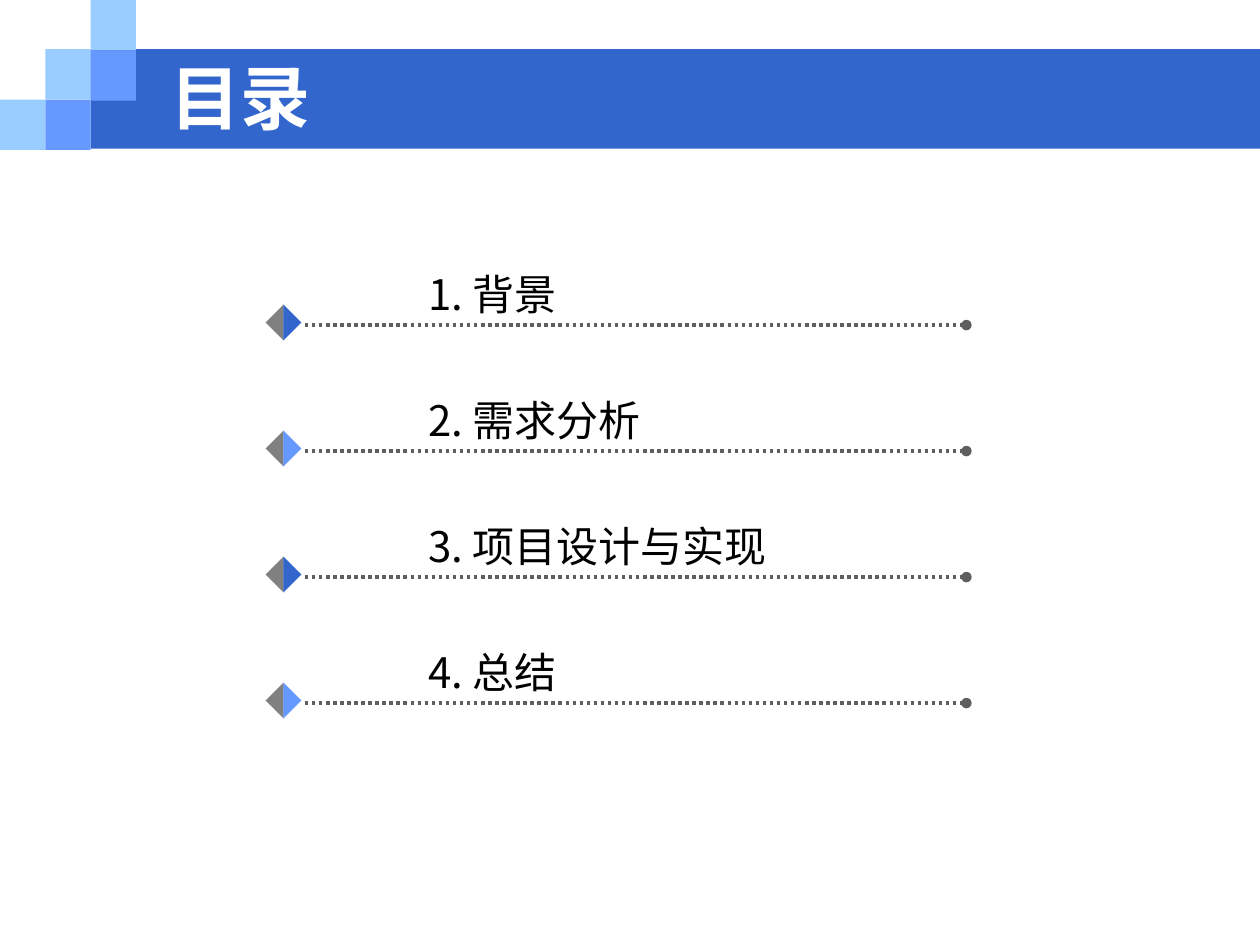
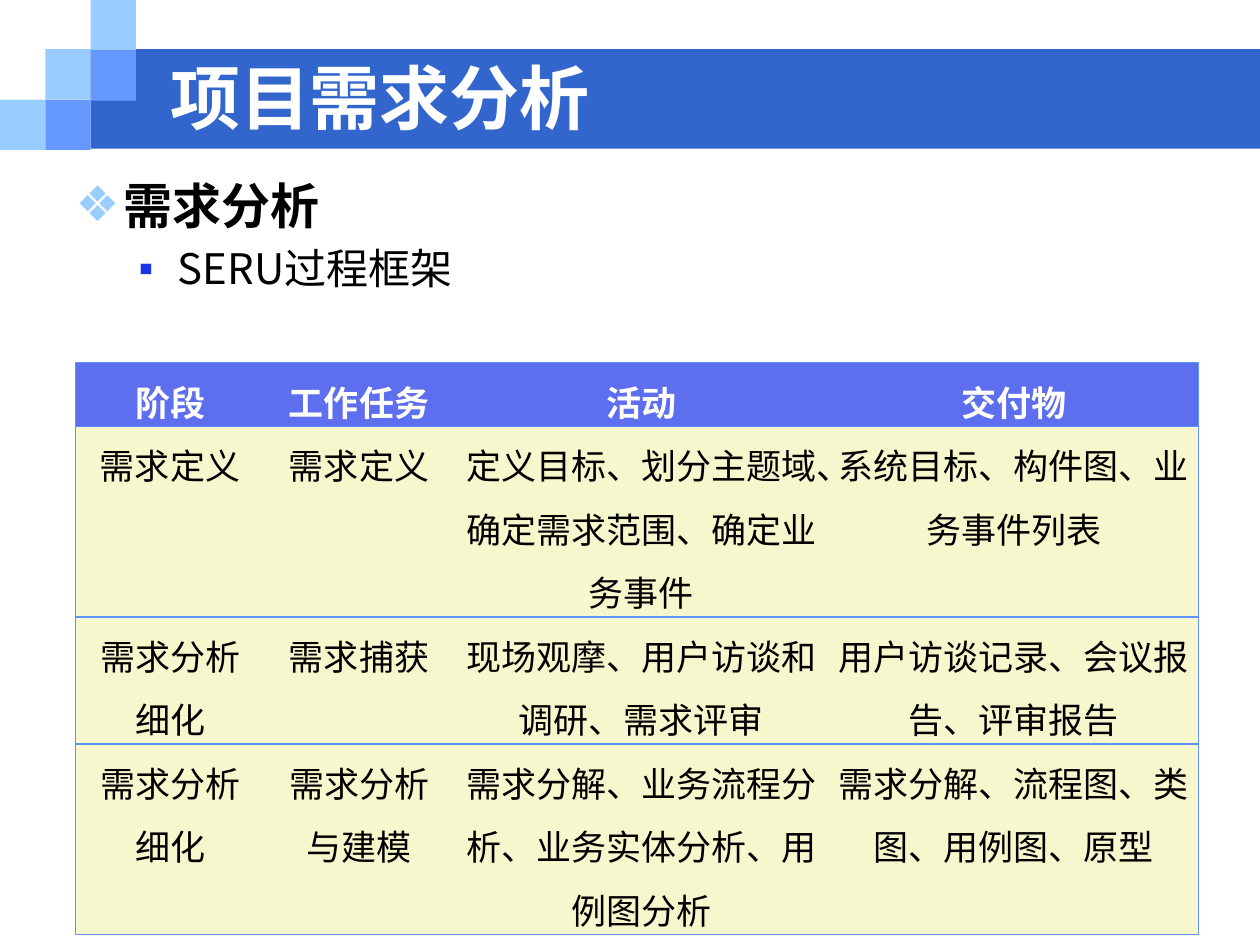
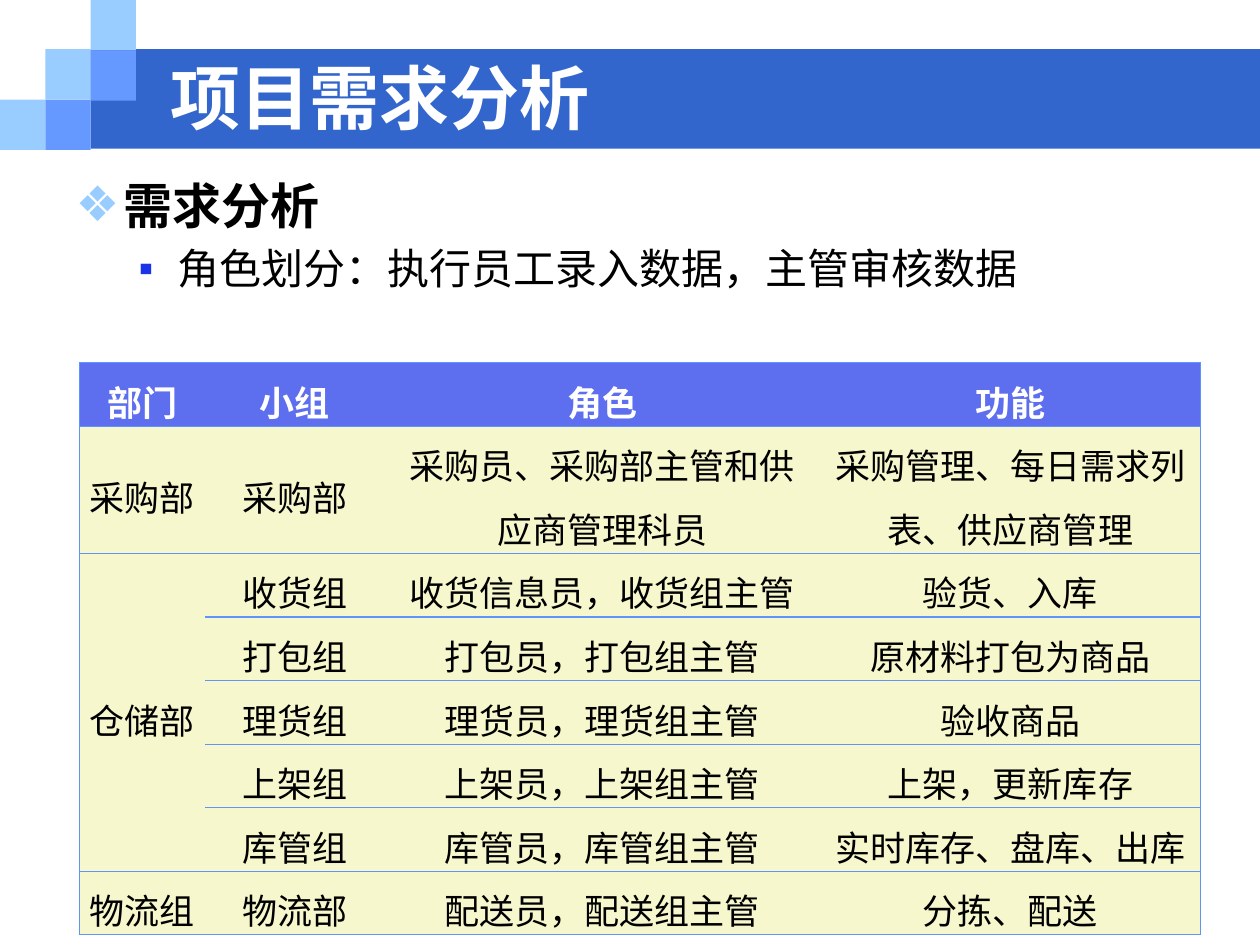
from typing import NamedTuple

from lxml import etree
from pptx import Presentation
from pptx.dml.color import RGBColor
from pptx.enum.dml import MSO_LINE
from pptx.enum.shapes import MSO_CONNECTOR, MSO_SHAPE
from pptx.enum.text import MSO_ANCHOR, MSO_AUTO_SIZE, PP_ALIGN
from pptx.oxml.ns import qn
from pptx.util import Pt

RECTANGLE = MSO_SHAPE.RECTANGLE
TRIANGLE = MSO_SHAPE.RIGHT_TRIANGLE
STRAIGHT = MSO_CONNECTOR.STRAIGHT
DOTTED = MSO_LINE.ROUND_DOT
TOP, MIDDLE = MSO_ANCHOR.TOP, MSO_ANCHOR.MIDDLE
LEFT, CENTER = PP_ALIGN.LEFT, PP_ALIGN.CENTER
FIXED_SIZE, GROW = MSO_AUTO_SIZE.NONE, MSO_AUTO_SIZE.SHAPE_TO_FIT_TEXT

EMU_PER_PX = 9144
TITLE_FONT = "Noto Sans CJK JP"
TEXT_FONT = "Noto Sans CJK SC"
BLUE, MID_BLUE, PALE_BLUE = "3366CC", "6699FF", "99CCFF"
BULLET_BLUE, HEADER_BLUE, BORDER_BLUE = "1B33E7", "5D6EEE", "6094FD"
GREY, LINE_GREY = "808080", "5F5F5F"
CREAM, WHITE, BLACK = "F7F7CD", "FFFFFF", "000000"


class Area(NamedTuple):
    left: int
    top: int
    width: int
    height: int


class Block(NamedTuple):
    area: Area
    color: str


class TextStyle(NamedTuple):
    size: int
    color: str = BLACK
    bold: bool = False
    font: str = TEXT_FONT


class ListLevel(NamedTuple):
    style: TextStyle
    margin: int
    hanging: int
    bullet: str
    bullet_color: str


class Grid(NamedTuple):
    left: int
    widths: list[int]
    anchor: MSO_ANCHOR
    rows: list[list[str]]
    merge: tuple[int, int] | None = None


TITLE_AREA = Area(125, 50, 808, 53)
BODY_AREA = Area(50, 134, 900, 574)
TABLE_TOP = 288
ROW_HEIGHT = 50
BANNER = [
    Block(Area(72, 39, 928, 79), BLUE),
    Block(Area(0, 79, 36, 40), PALE_BLUE),
    Block(Area(36, 39, 36, 40), PALE_BLUE),
    Block(Area(72, 0, 36, 40), PALE_BLUE),
    Block(Area(72, 40, 36, 40), MID_BLUE),
    Block(Area(36, 79, 36, 40), MID_BLUE),
]
TITLE_STYLE = TextStyle(40, WHITE, True, TITLE_FONT)
AGENDA_STYLE = TextStyle(24)
HEADER_STYLE = TextStyle(20, WHITE, True)
CELL_STYLE = TextStyle(20)
LIST_LEVELS = [
    ListLevel(TextStyle(28, bold=True), 38, 38, "❖", PALE_BLUE),
    ListLevel(TextStyle(24), 81, 31, "▪", BULLET_BLUE),
]

AGENDA = ["背景", "需求分析", "项目设计与实现", "总结"]
AGENDA_WIDTHS = [138, 205, 306, 138]
AGENDA_TOP, AGENDA_PITCH = 258, 100

PROCESS = Grid(60, [150, 150, 298, 293], TOP, [
    ["阶段", "工作任务", "活动", "交付物"],
    ["需求定义", "需求定义", "定义目标、划分主题域、确定需求范围、确定业务事件",
     "系统目标、构件图、业务事件列表"],
    ["需求分析细化", "需求捕获", "现场观摩、用户访谈和调研、需求评审",
     "用户访谈记录、会议报告、评审报告"],
    ["需求分析细化", "需求分析与建模", "需求分解、业务流程分析、业务实体分析、用例图分析",
     "需求分解、流程图、类图、用例图、原型"],
])
ROLES = Grid(63, [100, 142, 346, 302], MIDDLE, [
    ["部门", "小组", "角色", "功能"],
    ["采购部", "采购部", "采购员、采购部主管和供应商管理科员", "采购管理、每日需求列表、供应商管理"],
    ["仓储部", "收货组", "收货信息员，收货组主管", "验货、入库"],
    ["", "打包组", "打包员，打包组主管", "原材料打包为商品"],
    ["", "理货组", "理货员，理货组主管", "验收商品"],
    ["", "上架组", "上架员，上架组主管", "上架，更新库存"],
    ["", "库管组", "库管员，库管组主管", "实时库存、盘库、出库"],
    ["物流组", "物流部", "配送员，配送组主管", "分拣、配送"],
], merge=(2, 6))


def px(length: int) -> int:
    return length * EMU_PER_PX


def rgb(color: str) -> RGBColor:
    return RGBColor.from_string(color)


def emu_area(area: Area) -> list[int]:
    return [px(length) for length in area]


def place(shape, area: Area) -> None:
    shape.left, shape.top, shape.width, shape.height = emu_area(area)


def add_span(para, text: str, style: TextStyle) -> None:
    span = para.add_run()
    span.text = text
    span.font.size = Pt(style.size)
    span.font.bold = style.bold
    span.font.color.rgb = rgb(style.color)
    span.font.name = style.font
    properties = span.font._element
    etree.SubElement(properties, qn("a:ea")).set("typeface", style.font)


def add_block(shapes, kind: MSO_SHAPE, block: Block):
    shape = shapes.add_shape(kind, *emu_area(block.area))
    shape.shadow.inherit = False
    shape.fill.solid()
    shape.fill.fore_color.rgb = rgb(block.color)
    shape.line.fill.background()
    return shape


def move_banner_to_master(deck, page) -> None:
    tree = deck.slide_master.shapes.element
    for index, block in enumerate(BANNER):
        element = add_block(page.shapes, RECTANGLE, block).element
        element.nvSpPr.cNvPr.set("id", str(100 + index))
        tree.insert(2 + index, element)


def set_title(page, text: str) -> None:
    title = page.shapes.title
    place(title, TITLE_AREA)
    title.text_frame.auto_size = FIXED_SIZE
    title.text_frame.vertical_anchor = MIDDLE
    para = title.text_frame.paragraphs[0]
    para.alignment = LEFT
    add_span(para, text, TITLE_STYLE)


def set_list(page, texts: list[str]) -> None:
    body = page.placeholders[1]
    place(body, BODY_AREA)
    frame = body.text_frame
    frame.auto_size = FIXED_SIZE
    for depth, (text, level) in enumerate(zip(texts, LIST_LEVELS)):
        para = frame.add_paragraph() if depth else frame.paragraphs[0]
        para.level = depth
        properties = para._p.get_or_add_pPr()
        properties.set("marL", str(px(level.margin)))
        properties.set("indent", str(px(-level.hanging)))
        bullet_color = etree.SubElement(properties, qn("a:buClr"))
        etree.SubElement(bullet_color, qn("a:srgbClr")).set("val", level.bullet_color)
        etree.SubElement(properties, qn("a:buChar")).set("char", level.bullet)
        add_span(para, text, level.style)


def add_agenda_item(page, index: int, text: str) -> None:
    top = AGENDA_TOP + index * AGENDA_PITCH
    shapes = page.shapes.add_group_shape().shapes

    rule = shapes.add_connector(STRAIGHT, px(242), px(top), px(767), px(top))
    rule.line.width = Pt(2)
    rule.line.color.rgb = rgb(LINE_GREY)
    rule.line.dash_style = DOTTED
    etree.SubElement(rule.line._get_or_add_ln(), qn("a:tailEnd")).set("type", "oval")
    etree.SubElement(rule.element.spPr, qn("a:effectLst"))

    marker = Area(215, top - 12, 20, 20)
    left_half = add_block(shapes, TRIANGLE, Block(marker, GREY))
    left_half.rotation = 45
    right_color = MID_BLUE if index % 2 else BLUE
    right_half = add_block(shapes, TRIANGLE, Block(marker, right_color))
    right_half.rotation = 315
    right_half.element.spPr.xfrm.set("flipH", "1")

    label = Area(330, top - 50, AGENDA_WIDTHS[index], 51)
    box = shapes.add_textbox(*emu_area(label))
    box.text_frame.word_wrap = False
    box.text_frame.auto_size = GROW
    add_span(box.text_frame.paragraphs[0], f"{index + 1}. {text}", AGENDA_STYLE)


def set_borders(cell, first: bool, last: bool) -> None:
    properties = cell._tc.get_or_add_tcPr()
    sides = {"L": first, "R": last, "T": True, "B": True}
    for index, (side, visible) in enumerate(sides.items()):
        line = etree.Element(qn(f"a:ln{side}"), w=str(Pt(0.75)))
        if visible:
            fill = etree.SubElement(line, qn("a:solidFill"))
            etree.SubElement(fill, qn("a:srgbClr")).set("val", BORDER_BLUE)
        else:
            etree.SubElement(line, qn("a:noFill"))
        properties.insert(index, line)


def add_grid(page, grid: Grid) -> None:
    row_count, column_count = len(grid.rows), len(grid.widths)
    area = Area(grid.left, TABLE_TOP, sum(grid.widths), row_count * ROW_HEIGHT)
    table = page.shapes.add_table(row_count, column_count, *emu_area(area)).table
    table.horz_banding = False
    for column, width in zip(table.columns, grid.widths):
        column.width = px(width)
    for row_index, texts in enumerate(grid.rows):
        for column_index, text in enumerate(texts):
            cell = table.cell(row_index, column_index)
            cell.fill.solid()
            cell.fill.fore_color.rgb = rgb(CREAM if row_index else HEADER_BLUE)
            cell.vertical_anchor = grid.anchor
            cell.margin_left = cell.margin_right = px(7)
            cell.margin_top = cell.margin_bottom = 0
            set_borders(cell, column_index == 0, column_index == column_count - 1)
            if text:
                para = cell.text_frame.paragraphs[0]
                para.alignment = CENTER
                para.line_spacing = 1.25
                add_span(para, text, CELL_STYLE if row_index else HEADER_STYLE)
    if grid.merge:
        first_row, last_row = grid.merge
        table.cell(first_row, 0).merge(table.cell(last_row, 0))


def add_analysis_page(deck, topic: str, grid: Grid) -> None:
    page = deck.slides.add_slide(deck.slide_layouts[1])
    set_title(page, "项目需求分析")
    set_list(page, ["需求分析", topic])
    add_grid(page, grid)


def main() -> None:
    deck = Presentation()
    deck.slide_width, deck.slide_height = px(1000), px(750)
    agenda_page = deck.slides.add_slide(deck.slide_layouts[5])
    move_banner_to_master(deck, agenda_page)
    set_title(agenda_page, "目录")
    for index, text in enumerate(AGENDA):
        add_agenda_item(agenda_page, index, text)
    add_analysis_page(deck, "SERU过程框架", PROCESS)
    add_analysis_page(deck, "角色划分：执行员工录入数据，主管审核数据", ROLES)
    deck.save("out.pptx")


if __name__ == "__main__":
    main()
